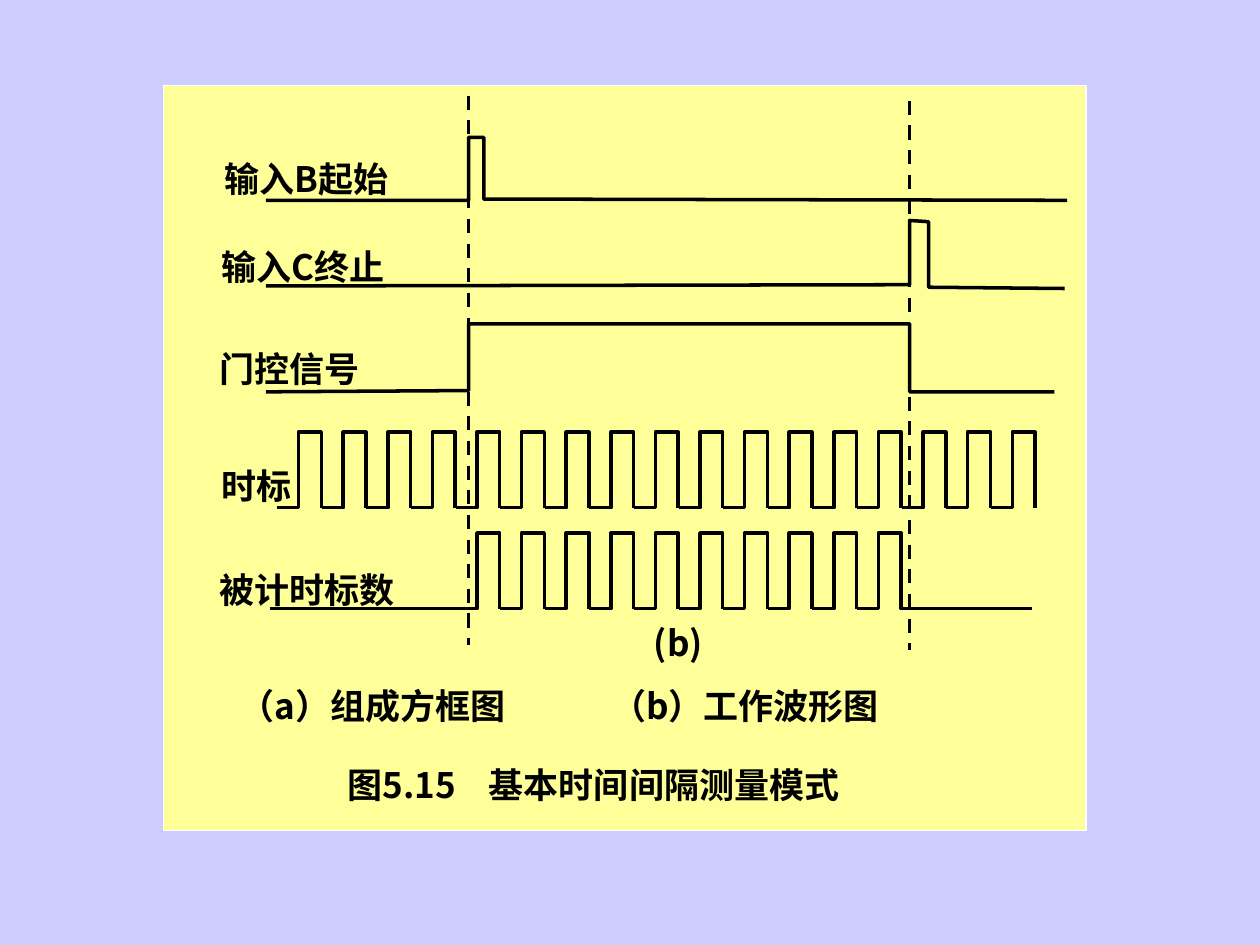
from pptx import Presentation
from pptx import util as u
from pptx.dml.color import RGBColor
from pptx.enum import dml, shapes, text
from pptx.oxml import ns
from lxml import etree


def color(value):
    return RGBColor.from_string(value)


def sub(parent, tag, **attrs):
    return etree.SubElement(parent, ns.qn(tag), attrs)


def write(tf, content, font="Noto Sans CJK SC", size=20, ink="000000",
          bold=True, tab=None):
    tf.word_wrap = True
    tf.vertical_anchor = text.MSO_ANCHOR.TOP
    tf.margin_left = tf.margin_right = tf.margin_top = tf.margin_bottom = 0
    p = tf.paragraphs[0]
    p.alignment = text.PP_ALIGN.LEFT
    if tab is not None:
        tabs = sub(p._p.get_or_add_pPr(), "a:tabLst")
        sub(tabs, "a:tab", pos=str(u.Inches(tab)), algn="l")
    r = p.add_run()
    r.text = content
    r.font.name = font
    r.font.size = u.Pt(size)
    r.font.bold = bold
    r.font.color.rgb = color(ink)
    sub(r._r.get_or_add_rPr(), "a:ea", typeface=font)


class Diagram:
    ink = "000000"
    weight = 2

    def __init__(self, s):
        self.s = s

    def background(self, fill):
        self.s.background.fill.solid()
        self.s.background.fill.fore_color.rgb = color(fill)

    def outline(self, line, ink=None, weight=None):
        line.color.rgb = color(ink or self.ink)
        line.width = u.Pt(weight or self.weight)

    def panel(self, x, y, w, h, fill, edge):
        sp = self.s.shapes.add_shape(
            shapes.MSO_SHAPE.RECTANGLE, *map(u.Inches, (x, y, w, h)))
        sp.shadow.inherit = False
        sp.fill.solid()
        sp.fill.fore_color.rgb = color(fill)
        self.outline(sp.line, edge, 0.75)

    def label(self, x, y, w, content, **style):
        sp = self.s.shapes.add_textbox(*map(u.Inches, (x, y, w, 0.44)))
        write(sp.text_frame, content, **style)

    def wave(self, points):
        start, *rest = [(u.Inches(x), u.Inches(y)) for x, y in points]
        builder = self.s.shapes.build_freeform(*start)
        builder.add_line_segments(rest, close=False)
        sp = builder.convert_to_shape()
        sp.shadow.inherit = False
        sp.fill.background()
        self.outline(sp.line)

    def pulse(self, rise, top, left=None, right=None):
        low, fall = top + 0.6, rise + 0.18
        left = rise - 0.17 if left is None else left
        points = [(left, low), (rise, low), (rise, top), (fall, top), (fall, low)]
        if right is not None:
            points.append((right, low))
        self.wave(points)

    def marker(self, x, top, bottom):
        c = self.s.shapes.add_connector(
            shapes.MSO_CONNECTOR.STRAIGHT, *map(u.Inches, (x, top, x, bottom)))
        self.outline(c.line)
        c.line.dash_style = dml.MSO_LINE.DASH
        sub(c._element.spPr, "a:effectLst")


def main():
    prs = Presentation()
    prs.slide_width, prs.slide_height = u.Inches(10), u.Inches(7.5)
    d = Diagram(prs.slides.add_slide(prs.slide_layouts[6]))
    d.background("CCCCFF")
    d.panel(1.3, 0.68, 7.32, 5.91, fill="FFFF99", edge="FFFFFF")

    start, stop, left = 3.72, 7.22, 2.11
    first_rise, pitch = 2.37, 0.354
    rises = [first_rise + pitch * i for i in range(17)]
    for rise in rises:
        d.pulse(rise, 3.43)

    d.marker(start, 0.76, 5.12)
    d.marker(stop, 0.8, 5.16)

    d.wave([(left, 3.11), (start, 3.1), (start, 2.57),
            (stop, 2.57), (stop, 3.11), (8.37, 3.11)])
    d.wave([(left, 2.27), (stop, 2.26), (stop, 1.75),
            (7.37, 1.76), (7.37, 2.28), (8.45, 2.29)])
    d.wave([(left, 1.59), (start, 1.59), (start, 1.09),
            (3.84, 1.09), (3.84, 1.58), (8.47, 1.59)])

    counted = [rise for rise in rises if start < rise < stop - pitch / 2]
    for rise in counted:
        d.pulse(rise, 4.23,
                left=2.14 if rise == counted[0] else None,
                right=8.19 if rise == counted[-1] else None)

    for x, y, w, name in [
        (1.78, 1.25, 1.56, "输入B起始"),
        (1.76, 1.95, 1.56, "输入C终止"),
        (1.74, 2.76, 1.56, "门控信号"),
        (1.76, 3.69, 0.78, "时标"),
        (1.74, 4.51, 1.56, "被计时标数"),
        (5.19, 4.93, 0.52, "(b)"),
    ]:
        d.label(x, y, w, name)
    d.label(1.9, 5.43, 5.74, "（a）组成方框图\t（b）工作波形图", tab=2.95)
    d.label(2.76, 6.06, 4.17, "图5.15\t基本时间间隔测量模式", tab=1.12)

    prs.save("out.pptx")


if __name__ == "__main__":
    main()
